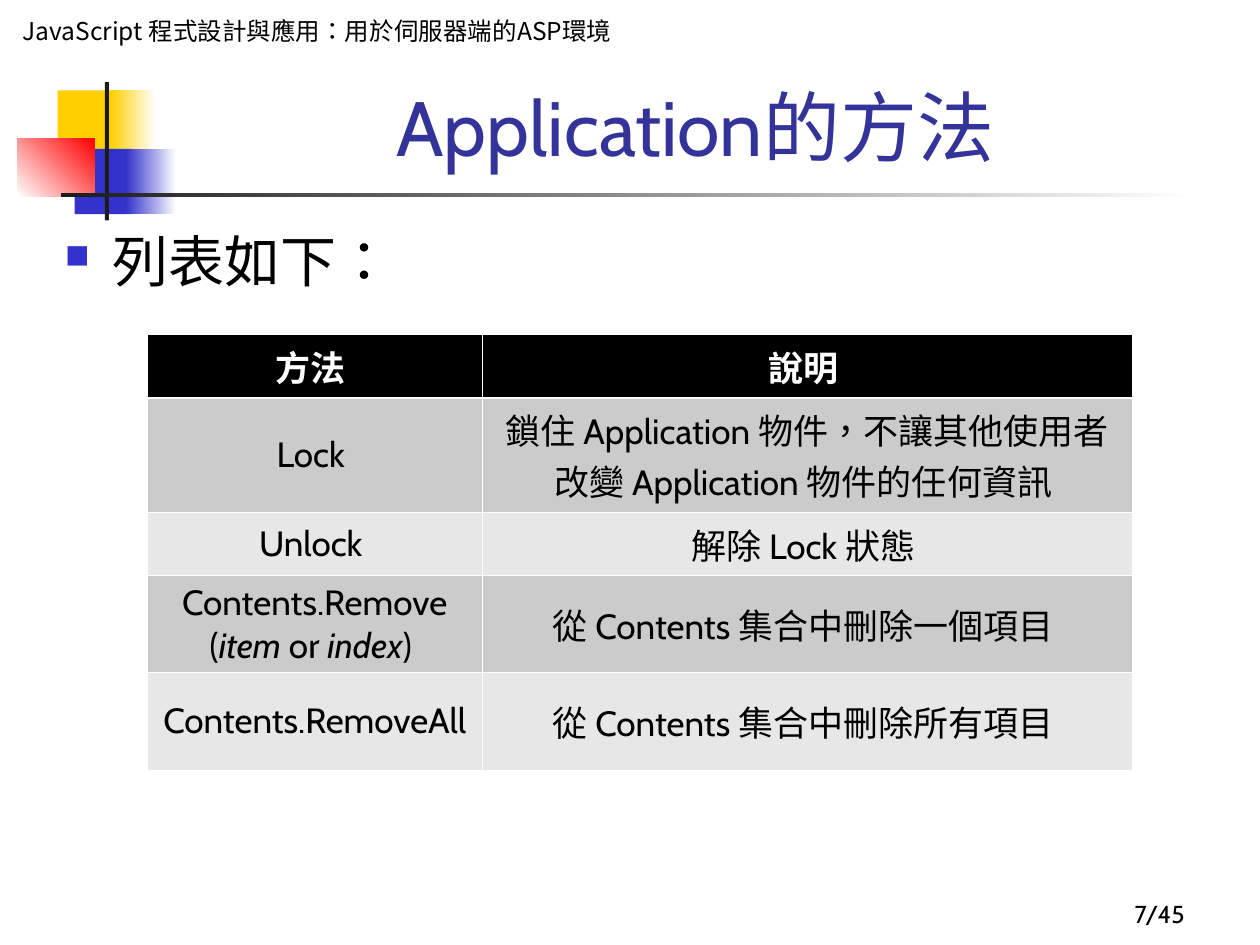
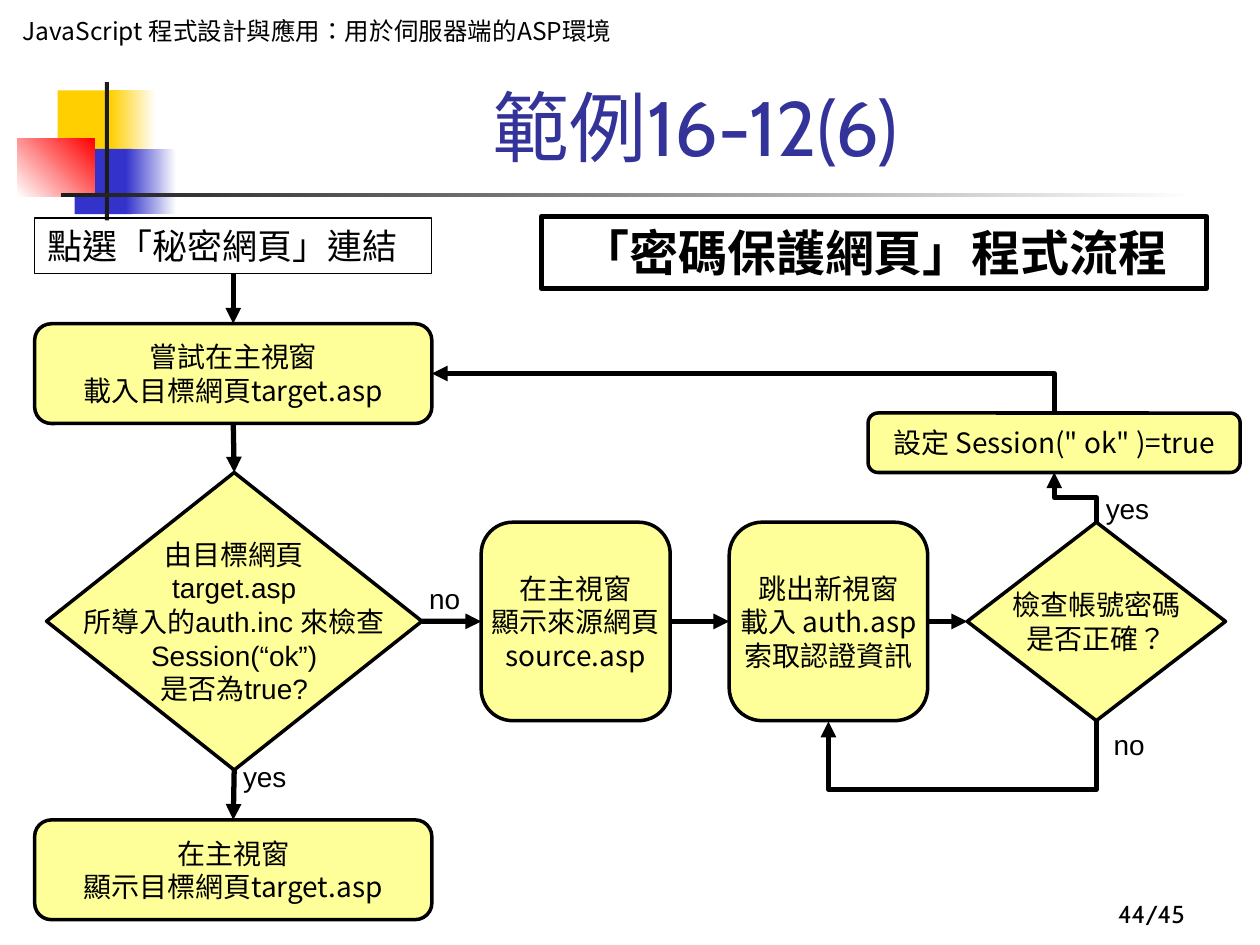
from dataclasses import dataclass

from lxml import etree
from pptx import Presentation
from pptx.dml.color import RGBColor
from pptx.enum import lang, shapes, text
from pptx.oxml.ns import qn
from pptx.util import Pt


@dataclass(frozen=True)
class Theme:
    black: str = "000000"
    white: str = "FFFFFF"
    ink: str = "1C1C1C"
    title: str = "333399"
    blue: str = "3333CC"
    yellow: str = "FFCF01"
    red: str = "FF0000"
    step: str = "FFFF99"
    row_dark: str = "CBCBCB"
    row_light: str = "E7E7E7"
    font: str = "Cabin"
    header_font: str = "Noto Sans CJK SC"
    step_font: str = "Noto Sans CJK TC"
    check_font: str = "Arial"
    title_size: int = 44
    body_size: int = 32
    caption_size: int = 28
    table_size: int = 20
    step_size: int = 16
    small_size: int = 14


T = Theme()
PROCESS = shapes.MSO_SHAPE.FLOWCHART_ALTERNATE_PROCESS
DECISION = shapes.MSO_SHAPE.FLOWCHART_DECISION
RECT = shapes.MSO_SHAPE.RECTANGLE
LEFT, CENTER, RIGHT = text.PP_ALIGN.LEFT, text.PP_ALIGN.CENTER, text.PP_ALIGN.RIGHT
TOP, MIDDLE, BOTTOM = (text.MSO_ANCHOR.TOP, text.MSO_ANCHOR.MIDDLE,
                       text.MSO_ANCHOR.BOTTOM)
SITE = {"top": 0, "left": 1, "bottom": 2, "right": 3}

# Boxes are (left, top, width, height) in points.
HEADER = "JavaScript 程式設計與應用：用於伺服器端的ASP環境"
PAGE_COUNT = 45
ORNAMENT = [  # box, colours, gradient angle
    ((33, 51.6, 34.6, 37.4), [T.yellow], 0),
    ((63, 51.6, 26, 37.4), [T.yellow, T.white], 0),
    ((42.7, 85, 33, 37.4), [T.blue], 0),
    ((72, 85, 28.8, 37.4), [T.blue, T.white], 0),
    ((10, 79.2, 44, 33.1), [T.white, T.red], 45),
    ((60, 47, 2.2, 79), [T.ink], 0),
    ((34.8, 110.2, 648, 2.6), [T.ink, T.white], 0),
]

METHODS = [  # each cell holds lines; *text* is italic
    ("方法 ", "說明 "),
    ("Lock ", "鎖住 Application 物件，不讓其他使用者改變 Application 物件的任何資訊 "),
    ("Unlock ", "解除 Lock 狀態 "),
    ("Contents.Remove\n(*item* or *index*) ", "從 Contents 集合中刪除一個項目 "),
    ("Contents.RemoveAll ", "從 Contents 集合中刪除所有項目 "),
]
COLUMN_WIDTHS = (191.3, 371.5)
ROW_HEIGHTS = (36.2, 65.2, 36.2, 55.6, 55.6)

STEPS = {  # name: shape kind, box, font, lines
    "load": (PROCESS, (19.8, 185, 227, 57), T.step_font,
             "嘗試在主視窗\n載入目標網頁target.asp"),
    "show": (PROCESS, (19.8, 468.5, 227, 57), T.step_font,
             "在主視窗\n顯示目標網頁target.asp"),
    "check": (DECISION, (26.6, 270, 214.5, 170), T.check_font,
              "由目標網頁\ntarget.asp\n所導入的auth.inc 來檢查\nSession(“ok”)\n是否為true?"),
    "source": (PROCESS, (275, 298.4, 108, 113.4), T.step_font,
               "在主視窗\n顯示來源網頁\nsource.asp"),
    "ask": (PROCESS, (416.7, 298.4, 113.4, 113.4), T.step_font,
            "跳出新視窗\n載入 auth.asp\n索取認證資訊"),
    "verify": (DECISION, (552.7, 298.4, 147.6, 113.4), T.check_font,
               "檢查帳號密碼\n是否正確？"),
    "grant": (PROCESS, (496.1, 236, 212.6, 34), T.step_font,
              "設定 Session(\" ok\" )=true"),
}
ARROWS = [
    ("start", "bottom", "load", "top"),
    ("load", "bottom", "check", "top"),
    ("check", "bottom", "show", "top"),
    ("check", "right", "source", "left"),
    ("source", "right", "ask", "left"),
    ("ask", "right", "verify", "left"),
]
ELBOWS = [  # from, side, to, side, preset, distance to the bend
    ("verify", "bottom", "ask", "bottom", "bentConnector3", 40),
    ("verify", "top", "grant", "bottom", "bentConnector3", 14),
    ("grant", "top", "load", "right", "bentConnector2", None),
]
BRANCHES = [("yes", 131.8, 430.6), ("no", 238.2, 328.6),
            ("no", 629.3, 412.2), ("yes", 624.8, 277.6)]


def rgb(color):
    return RGBColor.from_string(color)


def style(p, size, color=T.black, font=T.font, east=T.font, bold=False,
          align=LEFT, tight=False):
    p.alignment = align
    f = p.font
    f.size, f.name, f.bold = Pt(size), font, bold
    f.color.rgb = rgb(color)
    default = p._p.pPr.find(qn("a:defRPr"))
    etree.SubElement(default, qn("a:ea")).set("typeface", east)
    if tight:
        p.line_spacing = Pt(round(size * 1.2, 1))


def write(tf, content, anchor=TOP, wrap=True, **look):
    """Fill a text frame, one paragraph per line, *text* in italics."""
    tf.word_wrap, tf.vertical_anchor = wrap, anchor
    for i, line in enumerate(content.split("\n")):
        p = tf.paragraphs[0] if i == 0 else tf.add_paragraph()
        for j, part in enumerate(line.split("*")):
            r = p.add_run()
            r.text = part
            r.font.language_id = lang.MSO_LANGUAGE_ID.TRADITIONAL_CHINESE
            if j % 2:
                r.font.italic = True
        style(p, **look)


def add_text(slide, box, content, **look):
    sp = slide.shapes.add_textbox(*map(Pt, box))
    write(sp.text_frame, content, **look)
    return sp


def add_box(slide, kind, box, colors=(), line=None, angle=0):
    """Add a shape with no fill, one colour, or a gradient of two."""
    sp = slide.shapes.add_shape(kind, *map(Pt, box))
    sp.shadow.inherit = False
    if len(colors) == 2:
        sp.fill.gradient()
        sp.fill.gradient_angle = angle
        for position, (stop, color) in enumerate(zip(sp.fill.gradient_stops, colors)):
            stop.position, stop.color.rgb = position, rgb(color)
    elif colors:
        sp.fill.solid()
        sp.fill.fore_color.rgb = rgb(colors[0])
    else:
        sp.fill.background()
    if line:
        sp.line.color.rgb, sp.line.width = rgb(T.black), Pt(line)
    else:
        sp.line.fill.background()
    return sp


def add_frame(prs, title, page):
    slide = prs.slides.add_slide(prs.slide_layouts[6])
    for box, colors, angle in ORNAMENT:
        add_box(slide, RECT, box, colors, angle=angle)
    sp = add_box(slide, RECT, (5.8, 5.8, 354.2, 41), [T.white])
    write(sp.text_frame, HEADER, size=T.small_size, font=T.header_font, tight=True)
    add_text(slide, (90.7, 41.8, 613.4, 59.8), title, anchor=BOTTOM,
             size=T.title_size, color=T.title, align=CENTER)
    add_text(slide, (534.2, 498.2, 149.8, 36), f"{page}/{PAGE_COUNT}",
             anchor=BOTTOM, size=T.small_size, align=RIGHT)
    return slide


def add_bullet(p):
    """Mark the paragraph with the square of the Wingdings font."""
    pPr = p._p.get_or_add_pPr()
    pPr.set("marL", str(Pt(27)))
    pPr.set("indent", str(-Pt(27)))
    color = etree.Element(qn("a:buClr"))
    etree.SubElement(color, qn("a:srgbClr")).set("val", T.blue)
    size = etree.Element(qn("a:buSzPct"), val="60000")
    font = etree.Element(qn("a:buFont"), typeface="Wingdings", charset="2")
    mark = etree.Element(qn("a:buChar"), char="n")
    default = pPr.find(qn("a:defRPr"))
    for node in (color, size, font, mark):
        default.addprevious(node)


def set_borders(cell, row):
    tcPr = cell._tc.get_or_add_tcPr()
    thick = {"lnB": row == 0, "lnT": row == 1}
    for i, side in enumerate(("lnL", "lnR", "lnT", "lnB")):
        width = 1.47 if thick.get(side) else 0.45
        ln = etree.Element(qn(f"a:{side}"), w=str(Pt(width)))
        fill = etree.SubElement(ln, qn("a:solidFill"))
        etree.SubElement(fill, qn("a:srgbClr")).set("val", T.white)
        tcPr.insert(i, ln)


def add_methods(slide):
    frame = slide.shapes.add_table(
        len(METHODS), len(COLUMN_WIDTHS), Pt(84.2), Pt(191.2),
        Pt(sum(COLUMN_WIDTHS)), Pt(sum(ROW_HEIGHTS)))
    table = frame.table
    for column, width in zip(table.columns, COLUMN_WIDTHS):
        column.width = Pt(width)
    for i, (row, height) in enumerate(zip(METHODS, ROW_HEIGHTS)):
        table.rows[i].height = Pt(height)
        head = i == 0
        fill = T.black if head else (T.row_light, T.row_dark)[i % 2]
        for j, content in enumerate(row):
            cell = table.cell(i, j)
            cell.fill.solid()
            cell.fill.fore_color.rgb = rgb(fill)
            cell.vertical_anchor = MIDDLE
            write(cell.text_frame, content, MIDDLE, size=T.table_size, bold=head,
                  color=T.white if head else T.black, east=T.step_font, align=CENTER)
            set_borders(cell, i)


def join(slide, kind, first, first_side, last, last_side):
    """Connect the named sides of two shapes with an arrow."""
    c = slide.shapes.add_connector(kind, 0, 0, 0, 0)
    c.begin_connect(first, SITE[first_side])
    c.end_connect(last, SITE[last_side])
    c.line.color.rgb, c.line.width = rgb(T.black), Pt(3)
    ln = c.line._get_or_add_ln()
    etree.SubElement(ln, qn("a:tailEnd")).set("type", "triangle")
    etree.SubElement(c._element.spPr, qn("a:effectLst"))
    return c


def bend(c, up, preset, distance):
    """Turn an elbow so that it leaves its first shape vertically."""
    x1, y1, x2, y2 = c.begin_x, c.begin_y, c.end_x, c.end_y
    run, rise = abs(x2 - x1), max(abs(y2 - y1), Pt(1))
    c.left, c.top = (x1 + x2 - rise) // 2, (y1 + y2 - run) // 2
    c.width, c.height = rise, run
    xfrm = c._element.spPr.find(qn("a:xfrm"))
    for flip in ("flipH", "flipV"):
        xfrm.attrib.pop(flip, None)
    xfrm.set("rot", str((270 if up else 90) * 60000))
    if up:
        xfrm.set("flipV", "1")
    geom = c._element.spPr.find(qn("a:prstGeom"))
    geom.set("prst", preset)
    if distance:
        guides = geom.find(qn("a:avLst"))
        share = round(Pt(distance) / rise * 100000)
        etree.SubElement(guides, qn("a:gd"), name="adj1", fmla=f"val {share}")


def add_flow(slide):
    nodes = {}
    for name, (kind, box, font, content) in STEPS.items():
        sp = nodes[name] = add_box(slide, kind, box, [T.step], line=2)
        write(sp.text_frame, content, MIDDLE, wrap=False, size=T.step_size,
              font=font, align=CENTER, tight=True)
    nodes["start"] = add_box(slide, RECT, (19.8, 124.6, 227, 31.7), line=0.75)
    write(nodes["start"].text_frame, "點選「秘密網頁」連結", size=T.table_size,
          font=T.check_font, tight=True)
    caption = add_box(slide, RECT, (309.3, 123.8, 380.2, 41), line=3)
    write(caption.text_frame, "「密碼保護網頁」程式流程", size=T.caption_size,
          font=T.check_font, bold=True, align=CENTER, tight=True)
    for first, side, last, last_side in ARROWS:
        join(slide, shapes.MSO_CONNECTOR.STRAIGHT, nodes[first], side,
             nodes[last], last_side)
    for first, side, last, last_side, preset, distance in ELBOWS:
        c = join(slide, shapes.MSO_CONNECTOR.ELBOW, nodes[first], side,
                 nodes[last], last_side)
        bend(c, side == "top", preset, distance)
    for word, x, y in BRANCHES:
        add_text(slide, (x, y, 39, 26.6), word, wrap=False,
                 size=T.step_size, font=T.check_font)


def main():
    prs = Presentation()
    prs.slide_width, prs.slide_height = Pt(720), Pt(540)
    slide = add_frame(prs, "Application的方法", 7)
    body = add_text(slide, (30, 126, 675.4, 365.8), "列表如下：", size=T.body_size)
    add_bullet(body.text_frame.paragraphs[0])
    add_methods(slide)
    add_flow(add_frame(prs, "範例16-12(6)", 44))
    prs.save("out.pptx")


if __name__ == "__main__":
    main()
